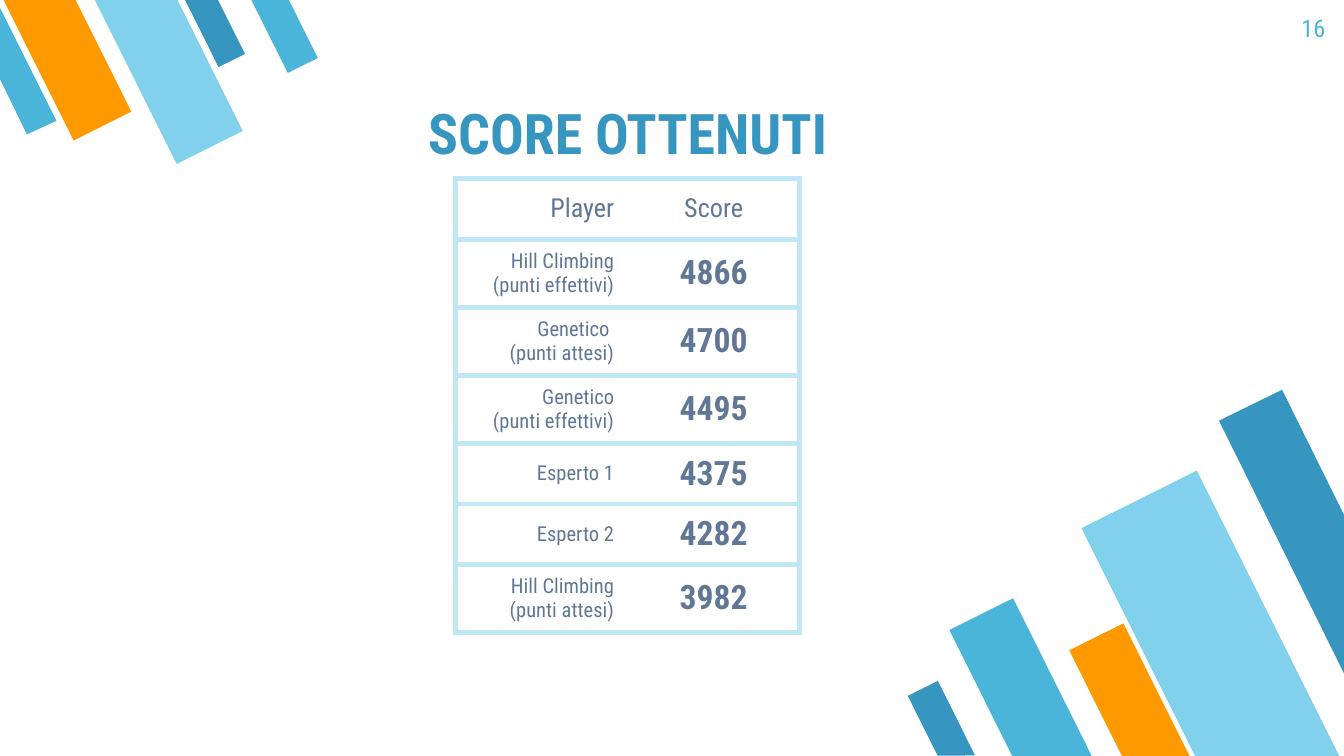
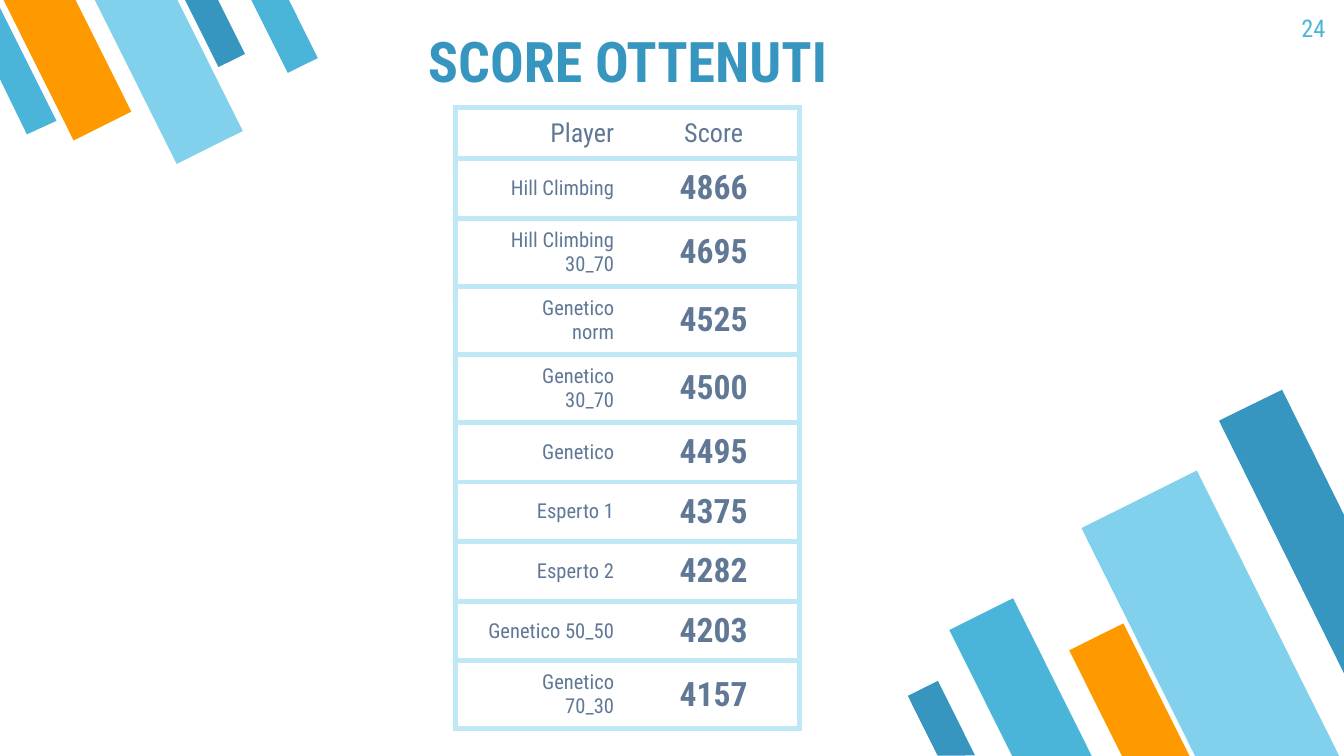
import dataclasses

import pptx
import pptx.dml.color
import pptx.enum.shapes
import pptx.enum.text
import pptx.oxml
import pptx.oxml.ns
import pptx.util

Inches = pptx.util.Inches
ALIGN = pptx.enum.text.PP_ALIGN
ANCHOR = pptx.enum.text.MSO_ANCHOR


@dataclasses.dataclass(frozen=True)
class Theme:
    font: str = "Roboto Condensed"
    dark: str = "3796BF"
    middle: str = "4BB5D9"
    light: str = "81D1EC"
    accent: str = "FF9900"
    border: str = "C0E7F6"
    text: str = "607896"
    title_size: int = 30
    header_size: int = 14
    score_size: int = 18
    player_size: int = 11
    number_size: int = 13
    border_width: int = 3


THEME = Theme()
PLAIN_TABLE = "{2D5ABB26-0587-4C30-8999-92F81FD0307C}"

# Bars: left, top, width, height, colour; edge bar: outline points, colour
TOP_BARS = dict(
    origin=(0, 0), rotation=333.5,
    bars=[(1.49, -0.08, 0.22, 0.56, THEME.dark),
          (0.26, -0.18, 0.48, 1.18, THEME.accent),
          (0.98, -0.2, 0.55, 1.37, THEME.light),
          (1.99, -0.1, 0.25, 0.62, THEME.middle)],
    edge=([(0.2, 1), (0.42, 0.9), (0, 0.06), (0, 0.59)], THEME.middle))
BOTTOM_BARS = dict(
    origin=(6.88, 2.9), rotation=153.5,
    bars=[(0.45, 1.6, 0.53, 1.32, THEME.middle),
          (1.65, 0.69, 0.96, 2.39, THEME.light),
          (1.3, 1.78, 0.45, 1.11, THEME.accent),
          (0, 2.19, 0.25, 0.62, THEME.dark)],
    edge=([(2.66, 0), (2.19, 0.23), (3.12, 2.11), (3.12, 0.93)], THEME.dark))

# Scores: \v breaks a line, \n starts a paragraph
PAGES = [
    dict(number="16", top=0.59, heights=[0.45] * 7, scores=[
        ("Hill Climbing\v(punti effettivi)", "4866"),
        ("Genetico \n(punti attesi)", "4700"),
        ("Genetico\n(punti effettivi)", "4495"),
        ("Esperto 1", "4375"),
        ("Esperto 2", "4282"),
        ("Hill Climbing (punti attesi)", "3982")]),
    dict(number="24", top=0.06,
         heights=[0.34, 0.4] + [0.46] * 3 + [0.4] * 5, scores=[
             ("Hill Climbing", "4866"),
             ("Hill Climbing 30_70", "4695"),
             ("Genetico\nnorm", "4525"),
             ("Genetico\n30_70", "4500"),
             ("Genetico", "4495"),
             ("Esperto 1", "4375"),
             ("Esperto 2", "4282"),
             ("Genetico 50_50", "4203"),
             ("Genetico\n70_30", "4157")]),
]


def rgb(colour):
    return pptx.dml.color.RGBColor.from_string(colour)


def set_all(target, values):
    for name, value in values.items():
        setattr(target, name, value)


def write(frame, text, size, colour, align, bold=False):
    frame.text = text
    for para in frame.paragraphs:
        para.alignment = align
        for span in para.runs:
            set_all(span.font, dict(name=THEME.font, bold=bold,
                                    size=pptx.util.Pt(size)))
            span.font.color.rgb = rgb(colour)


def format_frame(frame, anchor):
    margins = {f"margin_{side}": Inches(0.1)
               for side in ("left", "top", "right", "bottom")}
    set_all(frame, dict(margins, word_wrap=True, vertical_anchor=anchor,
                        auto_size=pptx.enum.text.MSO_AUTO_SIZE.NONE))


def paint(box, colour):
    box.shadow.inherit = False
    box.fill.solid()
    box.fill.fore_color.rgb = rgb(colour)
    box.line.fill.background()


# Corner decoration
def add_bars(page, origin, rotation, bars, edge):
    group = page.shapes.add_group_shape()
    x, y = origin
    for left, top, width, height, colour in bars:
        bar = group.shapes.add_shape(
            pptx.enum.shapes.MSO_SHAPE.FLOWCHART_MANUAL_INPUT,
            Inches(x + left), Inches(y + top), Inches(width), Inches(height))
        bar.rotation = rotation
        bar.element.spPr.find(pptx.oxml.ns.qn("a:xfrm")).set("flipH", "1")
        paint(bar, colour)
    outline, colour = edge
    points = [(Inches(x + dx), Inches(y + dy)) for dx, dy in outline]
    builder = group.shapes.build_freeform(*points[0])
    builder.add_line_segments(points[1:], close=True)
    paint(builder.convert_to_shape(), colour)
    return group


def decorate_layout(layout, page):
    """Give the layout its bars, drawn on a page and moved across."""
    for holder in list(layout.placeholders):
        if holder.placeholder_format.type != pptx.enum.shapes.PP_PLACEHOLDER.TITLE:
            holder.element.getparent().remove(holder.element)
    for corner in (BOTTOM_BARS, TOP_BARS):
        layout.shapes.element.append(add_bars(page, **corner).element)


# Title and page number
def add_title(page, left, top, width, height):
    box = page.shapes.title
    set_all(box, dict(left=Inches(left), top=Inches(top),
                      width=Inches(width), height=Inches(height)))
    format_frame(box.text_frame, ANCHOR.BOTTOM)
    write(box.text_frame, "SCORE OTTENUTI", THEME.title_size, THEME.dark,
          ALIGN.CENTER, bold=True)


def add_number(page, number, left, top, width, height):
    box = page.shapes.add_textbox(Inches(left), Inches(top),
                                  Inches(width), Inches(height))
    format_frame(box.text_frame, ANCHOR.TOP)
    write(box.text_frame, number, THEME.number_size, THEME.middle, ALIGN.RIGHT)


# Score table
def set_borders(cell, drawn_sides):
    properties = cell._tc.get_or_add_tcPr()
    for side in "LRTB":
        fill = "<a:noFill/>"
        if side in drawn_sides:
            fill = f'<a:solidFill><a:srgbClr val="{THEME.border}"/></a:solidFill>'
        properties.append(pptx.oxml.parse_xml(
            f'<a:ln{side} {pptx.oxml.ns.nsdecls("a")} '
            f'w="{pptx.util.Pt(THEME.border_width)}">{fill}</a:ln{side}>'))


def add_scores(page, scores, heights, left, top, width):
    rows = [("Player", "Score")] + scores
    frame = page.shapes.add_table(len(rows), 2, Inches(left), Inches(top),
                                  Inches(width), Inches(sum(heights)))
    table = frame.table
    set_all(table, dict(first_row=False, horz_banding=False))
    table._tbl.tblPr.find(pptx.oxml.ns.qn("a:tableStyleId")).text = PLAIN_TABLE
    for column in table.columns:
        column.width = Inches(width / 2)
    columns = [("LTB", ALIGN.RIGHT, THEME.player_size, False),
               ("RTB", ALIGN.CENTER, THEME.score_size, True)]
    inset = pptx.util.Pt(5.4)
    for i, (row, height) in enumerate(zip(rows, heights)):
        table.rows[i].height = Inches(height)
        for j, (sides, align, size, bold) in enumerate(columns):
            cell = table.cell(i, j)
            set_all(cell, dict(vertical_anchor=ANCHOR.MIDDLE,
                               margin_left=Inches(0.1), margin_right=Inches(0.1),
                               margin_top=inset, margin_bottom=inset))
            set_borders(cell, sides)
            cell.fill.background()
            write(cell.text_frame, row[j], size if i else THEME.header_size,
                  THEME.text, align, bold=bold and i > 0)


def add_score_page(page, number, top, heights, scores):
    title_height = 0.74
    add_title(page, 1.52, top, 6.3, title_height)
    add_scores(page, scores, heights, 3.39, top + title_height, 2.56)
    add_number(page, number, 9.36, 0, 0.6, 0.43)


def main():
    deck = pptx.Presentation()
    # Widescreen, 16:9
    deck.slide_width = Inches(10)
    deck.slide_height = Inches(10 * 9 / 16)
    layout = deck.slide_layouts[5]
    pages = [deck.slides.add_slide(layout) for _ in PAGES]
    decorate_layout(layout, pages[0])
    for page, content in zip(pages, PAGES):
        add_score_page(page, **content)
    deck.save("out.pptx")


if __name__ == "__main__":
    main()
